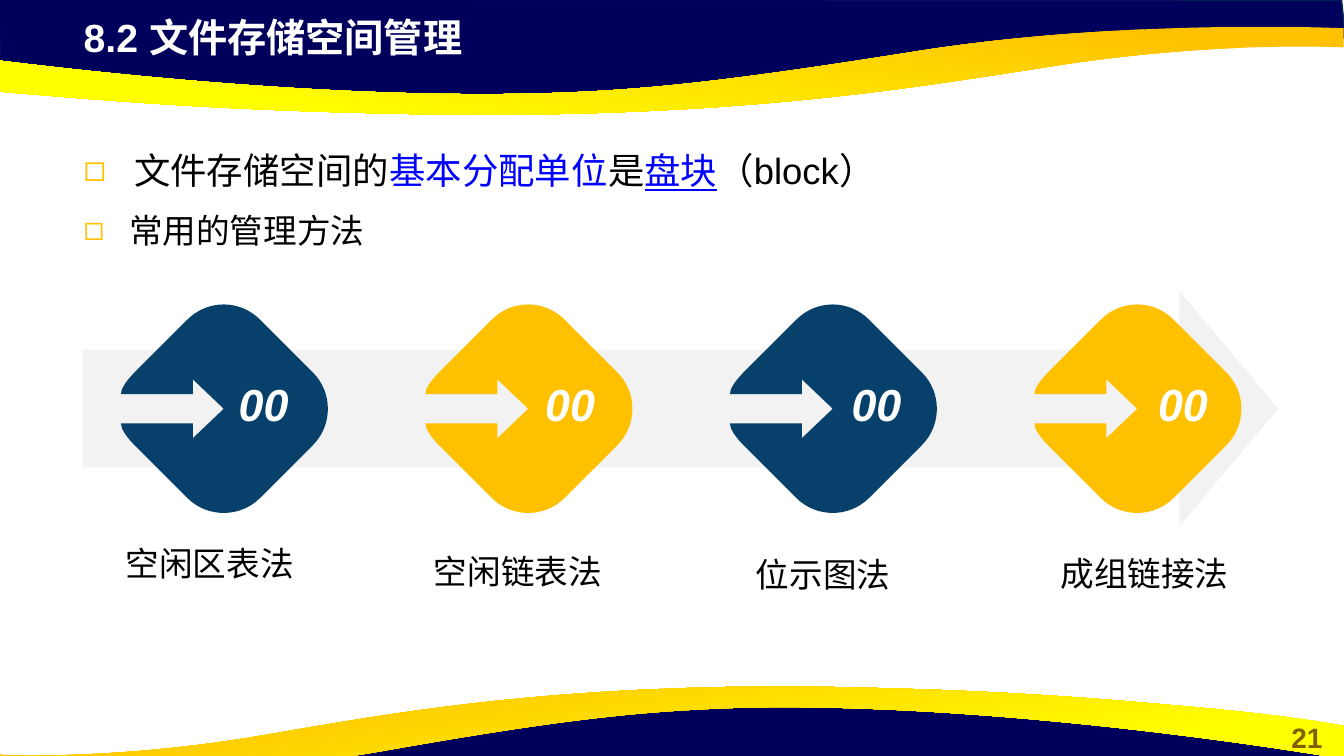
from pptx import Presentation
from pptx.dml.color import RGBColor
from pptx.enum.shapes import MSO_SHAPE as Shape
from pptx.enum.text import MSO_ANCHOR as Anchor, MSO_AUTO_SIZE as Fit, PP_ALIGN as Align
from pptx.oxml.ns import qn
from pptx.util import Pt
from lxml.etree import SubElement

NAVY = RGBColor(0x00, 0x00, 0x5C)
EDGE = RGBColor(0x05, 0x30, 0x4F)
GOLD = RGBColor(0xFF, 0xC0, 0x00)
YELLOW = RGBColor(0xFF, 0xFF, 0x00)
TEAL = RGBColor(0x07, 0x41, 0x6B)
GREY = RGBColor(0xF2, 0xF2, 0xF2)
OLIVE = RGBColor(0x80, 0x60, 0x00)
BLUE = RGBColor(0x00, 0x00, 0xFF)
BLACK = RGBColor(0x00, 0x00, 0x00)
WHITE = RGBColor(0xFF, 0xFF, 0xFF)

# Outlines: pairs are line ends, sextuples are cubic curves.
BAND = [(-0.7, -0.7), (0, 50.4), (211, 73.4), (402.5, 72), (572.4, 63.4),
        (731.5, 36), (891.4, 23.8), (961.2, 27.4), (958.3, 0)]
TOP_WAVE = [(516.2, 82.1), (545, 82.1, 575.3, 81.4, 607.7, 80.6),
            (715.7, 77.8, 784.8, 72, 838.1, 67.7), (927.4, 60.5, 957.6, 54, 959.8, 54),
            (959.8, 30.2), (959.8, 30.2, 707, 70.6, 491.8, 67),
            (413.3, 65.5, 354.2, 59.8, 205.2, 36), (56.9, 13, -95.8, 20.2, -95.8, 20.2),
            (-95.8, 33.8), (-93.6, 33.8), (-75.6, 33.1, 3.6, 31, 104.4, 46.1),
            (203, 61.2, 315.4, 81.4, 516.2, 82.1)]
LOW_WAVE = [(555.8, 490.3), (582.5, 490.3, 609.8, 491, 639.4, 491.8),
            (738, 494.6, 800.6, 500.4, 848.9, 504.7), (930.2, 512, 957.6, 518.4, 959.8, 518.4),
            (959.8, 542.2), (959.8, 542.2, 730.1, 501.8, 534.2, 505.4),
            (462.2, 507.6, 408.2, 512.6, 273.6, 536.4), (138.2, 560.2, -0.7, 553, -0.7, 553),
            (-0.7, 538.6), (1.4, 539.3), (18, 540, 90, 541.4, 181.4, 526.3),
            (270.7, 511.2, 373.7, 491, 555.8, 490.3)]
# Rounded square with an arrow notch in its lower left corner
DIAMOND = [(-52.7, -52.7), (-46, -59.3, -36.9, -63.4, -26.7, -63.4), (26.7, -63.4),
           (46.9, -63.4, 63.4, -46.9, 63.4, -26.7), (63.4, 26.7),
           (63.4, 46.9, 46.9, 63.4, 26.7, 63.4), (-26.7, 63.4),
           (-32.3, 63.4, -36.9, 62.9, -41.5, 61.3), (-44.5, 59.3), (-8.1, 23),
           (-0.7, 30.4), (0, 0), (-30.4, 0.7), (-23, 8.1), (-59.3, 44.5), (-61.3, 41.5),
           (-62.9, 36.9, -63.4, 32.3, -63.4, 26.7), (-63.4, -26.7),
           (-63.4, -36.9, -59.3, -46, -52.7, -52.7)]

# Method name, label box, left indent, alignment, line spacing
LABELS = [("空闲区表法", (46.8, 384.3, 201.6, 41), 36, Align.LEFT, 1),
          ("空闲链表法", (267.4, 384.3, 205.2, 42.5), 0, Align.CENTER, 1.2),
          ("位示图法", (491.4, 386.6, 193, 38.9), 0, Align.CENTER, 1.2),
          ("成组链接法", (709.2, 385.7, 216.7, 58.3), 0, Align.CENTER, 1.2)]


def paint(shape, color):
    shape.shadow.inherit = False
    shape.fill.solid()
    shape.fill.fore_color.rgb = color
    shape.line.fill.background()


def bend(form, parts):
    """Join each three line ends of a curved part into one cubic curve."""
    trail = next(form.element.iter(qn("a:path")))
    lines = iter(trail.findall(qn("a:lnTo")))
    for part in parts:
        node = next(lines)
        if len(part) == 6:
            curve = SubElement(trail, qn("a:cubicBezTo"))
            node.addprevious(curve)
            for old in (node, next(lines), next(lines)):
                curve.append(old[0])
                trail.remove(old)


def add_form(slide, parts, color, x=0, y=0):
    points = [(Pt(x + part[k]), Pt(y + part[k + 1]))
              for part in parts for k in range(0, len(part), 2)]
    pen = slide.shapes.build_freeform(*points[0])
    pen.add_line_segments(points[1:])
    form = pen.convert_to_shape()
    bend(form, parts[1:])
    paint(form, color)
    return form


def add_band(slide, x, y, turn):
    band = add_form(slide, BAND, NAVY, x, y)
    band.rotation = turn
    band.line.color.rgb = EDGE
    band.line.width = Pt(1)


def add_wave(slide, parts, flip):
    wave = add_form(slide, parts, GOLD)
    if flip:
        wave.element.spPr.get_or_add_xfrm().set("flipH", "1")
    wave.fill.gradient()
    wave.fill.gradient_angle = 280
    stops = [(0.11, GOLD), (0.78, YELLOW)]
    for stop, (place, color) in zip(wave.fill.gradient_stops, stops):
        stop.position = place
        stop.color.rgb = color


def add_run(para, text, size, color, bold=None, slant=None, under=None):
    run = para.add_run()
    run.text = text
    font = run.font
    font.name = "Arial"
    font.size = Pt(size)
    font.color.rgb = color
    font.bold, font.italic, font.underline = bold, slant, under


def set_box(shape, box, anchor=Anchor.TOP, align=Align.LEFT):
    """Place a text shape and return its first paragraph."""
    shape.left, shape.top, shape.width, shape.height = map(Pt, box)
    frame = shape.text_frame
    frame.word_wrap = True
    frame.auto_size = Fit.NONE
    frame.vertical_anchor = anchor
    para = frame.paragraphs[0]
    para.alignment = align
    return para


def add_box(slide, box, anchor=Anchor.TOP, align=Align.LEFT):
    return set_box(slide.shapes.add_textbox(*map(Pt, box)), box, anchor, align)


def set_list(shape, box, indent, size, runs):
    para = set_box(shape, box, Anchor.MIDDLE)
    props = para._p.get_or_add_pPr()
    props.set("marL", str(Pt(indent)))
    props.set("indent", str(-Pt(indent)))
    tint = SubElement(props, qn("a:buClr"))
    SubElement(tint, qn("a:srgbClr")).set("val", str(GOLD))
    SubElement(props, qn("a:buChar")).set("char", "◻")
    para.space_before = Pt(0)
    for text, color, under in runs:
        add_run(para, text, size, color, under=under)


def add_step(slide, n):
    """Draw one diamond with its number and label."""
    add_form(slide, DIAMOND, (TEAL, GOLD)[n % 2], 159.8 + 217.5 * n, 292).rotation = 45
    box = (160.6 + 218.9 * n, 261.4, 55.4, 53.3)
    add_run(add_box(slide, box, Anchor.MIDDLE, Align.CENTER), "00", 32, WHITE, True, True)
    text, box, indent, align, space = LABELS[n]
    para = add_box(slide, box, align=align)
    para._p.get_or_add_pPr().set("marL", str(Pt(indent)))
    para.line_spacing = space
    add_run(para, text, 24, BLACK)


def main():
    deck = Presentation()
    deck.slide_width, deck.slide_height = Pt(960), Pt(540)
    slide = deck.slides.add_slide(deck.slide_layouts[3])
    title, unit, ways = list(slide.placeholders)

    add_band(slide, 0, 0, 0)
    add_wave(slide, TOP_WAVE, True)
    add_band(slide, -1.5, 498.2, 180)
    add_wave(slide, LOW_WAVE, False)
    page = add_box(slide, (907.2, 510.9, 52.6, 31.7), align=Align.CENTER)
    add_run(page, "21", 20, OLIVE, True)

    for holder in (title, unit, ways):
        node = holder.element
        node.getparent().append(node)
    add_run(set_box(title, (52.6, 6, 553, 41)), "8.2 文件存储空间管理", 28, WHITE, True)
    set_list(unit, (52.6, 105.8, 624.2, 31.7), 36, 26,
             [("文件存储空间的", BLACK, None), ("基本分配单位", BLUE, None),
              ("是", BLACK, None), ("盘块", BLUE, True), ("（block）", BLACK, None)])
    set_list(ways, (52.6, 146.2, 529.2, 36), 32.4, 24, [("常用的管理方法", BLACK, None)])

    arrow = slide.shapes.add_shape(Shape.RIGHT_ARROW, Pt(59), Pt(208), Pt(854), Pt(167.8))
    arrow.adjustments[0], arrow.adjustments[1] = 0.5, 0.42
    paint(arrow, GREY)
    for n in range(len(LABELS)):
        add_step(slide, n)
    deck.save("out.pptx")


if __name__ == "__main__":
    main()
